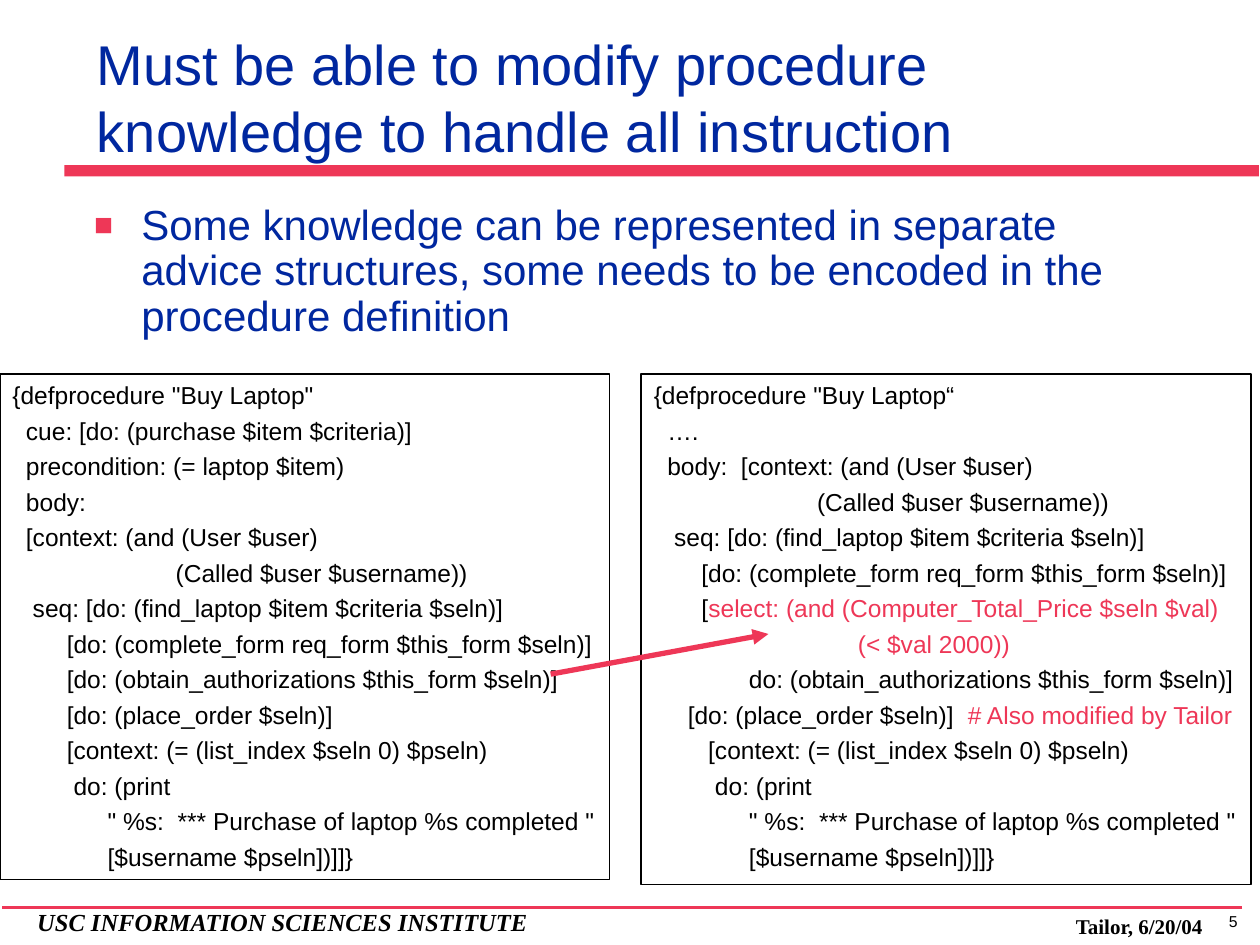
from lxml import etree
from pptx import Presentation
from pptx.dml.color import RGBColor
from pptx.enum.shapes import MSO_CONNECTOR as CONN, MSO_SHAPE as SHAPE
from pptx.enum.text import MSO_ANCHOR as ANCHOR, MSO_AUTO_SIZE as AUTO, PP_ALIGN as ALIGN
from pptx.oxml.ns import qn
from pptx.util import Cm, Pt

COLORS = {"red": "EE3757", "blue": "00279F", "black": "000000"}


def add_run(p, text, size, color="black", font="Arial", bold=False, italic=False):
    r = p.add_run()
    r.text = text
    r.font.name, r.font.size = font, Pt(size)
    r.font.bold, r.font.italic = bold, italic
    r.font.color.rgb = RGBColor.from_string(COLORS[color])


def add_line(x1, y1, x2, y2, width):
    c = s.shapes.add_connector(CONN.STRAIGHT, Cm(x1), Cm(y1), Cm(x2), Cm(y2))
    c.line.color.rgb = RGBColor.from_string(COLORS["red"])
    c.line.width = Pt(width)
    sp_pr = c.line._get_or_add_ln().getparent()
    etree.SubElement(sp_pr, qn("a:effectLst"))
    return c


prs = Presentation()
prs.slide_width, prs.slide_height = Cm(25.4), Cm(19.05)
s = prs.slides.add_slide(prs.slide_layouts[5])

# Title
sp = s.shapes.title
sp.left, sp.top, sp.width, sp.height = Cm(1.7), Cm(0.23), Cm(21.54), Cm(3.2)
tf = sp.text_frame
tf.auto_size, tf.word_wrap, tf.vertical_anchor = AUTO.NONE, True, ANCHOR.BOTTOM
p = tf.paragraphs[0]
p.alignment = ALIGN.LEFT
add_run(p, "Must be able to modify procedure knowledge to handle all instruction", 32, "blue")

# Bar under the title
sp = s.shapes.add_shape(SHAPE.RECTANGLE, Cm(1.3), Cm(3.33), Cm(24.08), Cm(0.23))
sp.shadow.inherit = False
sp.fill.solid()
sp.fill.fore_color.rgb = RGBColor.from_string(COLORS["red"])
sp.line.fill.background()

# Footer rule and texts: left, top, width, height, wrap, alignment, text, format
add_line(25.04, 18.29, 0.05, 18.29, 2)
serif = {"font": "Times New Roman", "bold": True}
footers = [
    (0.5, 18.16, 11.07, 0.84, True, ALIGN.LEFT, "USC INFORMATION SCIENCES INSTITUTE",
     {"size": 14, "italic": True, **serif}),
    (21.44, 18.29, 3.73, 0.76, True, ALIGN.LEFT, "Tailor, 6/20/04", {"size": 12, **serif}),
    (23.88, 18.26, 1.96, 0.64, False, ALIGN.CENTER, "5", {"size": 9}),
]
for x, y, w, h, wrap, align, text, style in footers:
    tf = s.shapes.add_textbox(Cm(x), Cm(y), Cm(w), Cm(h)).text_frame
    tf.word_wrap = wrap
    p = tf.paragraphs[0]
    p.alignment = align
    add_run(p, text, **style)

# Bulleted statement
tf = s.shapes.add_textbox(Cm(1.65), Cm(3.99), Cm(21.54), Cm(3.02)).text_frame
tf.word_wrap = True
p = tf.paragraphs[0]
p.line_spacing = 0.9
pPr = p._p.get_or_add_pPr()
pPr.set("marL", str(Cm(0.95)))
pPr.set("indent", str(-Cm(0.95)))
color = etree.SubElement(pPr, qn("a:buClr"))
etree.SubElement(color, qn("a:srgbClr"), val=COLORS["red"])
etree.SubElement(pPr, qn("a:buSzPct"), val="75000")
etree.SubElement(pPr, qn("a:buFont"), typeface="Arial")
etree.SubElement(pPr, qn("a:buChar"), char="■")
add_run(p, "Some knowledge can be represented in separate advice structures, "
           "some needs to be encoded in the procedure definition", 24, "blue")

# Procedure listings; text after "|" is red
shared_middle = [
    "                        (Called $user $username))",
    "   seq: [do: (find_laptop $item $criteria $seln)]",
]
shared_end = [
    "        [context: (= (list_index $seln 0) $pseln)",
    "         do: (print",
    '              " %s:  *** Purchase of laptop %s completed "',
    "              [$username $pseln])]]}",
]
before = [
    '{defprocedure "Buy Laptop"',
    "  cue: [do: (purchase $item $criteria)]",
    "  precondition: (= laptop $item)",
    "  body:",
    "  [context: (and (User $user)",
    *shared_middle,
    "        [do: (complete_form req_form $this_form $seln)]",
    "        [do: (obtain_authorizations $this_form $seln)]",
    "        [do: (place_order $seln)]",
    *shared_end,
]
after = [
    '{defprocedure "Buy Laptop“',
    "  ….",
    "  body:  [context: (and (User $user)",
    *shared_middle,
    "       [do: (complete_form req_form $this_form $seln)]",
    "       [|select: (and (Computer_Total_Price $seln $val)",
    "|                              (< $val 2000))",
    "              do: (obtain_authorizations $this_form $seln)]",
    "     [do: (place_order $seln)]  |# Also modified by Tailor",
    *shared_end,
]
for x, h, lines in [(0, 10.19, before), (12.93, 10.29, after)]:
    sp = s.shapes.add_shape(SHAPE.RECTANGLE, Cm(x), Cm(7.54), Cm(12.29), Cm(h))
    sp.shadow.inherit = False
    sp.fill.background()
    sp.line.color.rgb = RGBColor.from_string(COLORS["black"])
    sp.line.width = Pt(1)
    tf = sp.text_frame
    tf.word_wrap, tf.vertical_anchor = True, ANCHOR.TOP
    for i, line in enumerate(lines):
        p = tf.paragraphs[0] if i == 0 else tf.add_paragraph()
        p.alignment = ALIGN.LEFT
        p.space_before = Pt(3.5 if i else 0)
        pPr = p._p.get_or_add_pPr()
        pPr.set("marL", str(Cm(0.95)))
        pPr.set("indent", str(-Cm(0.95)))
        black, _, red = line.partition("|")
        for text, name in [(black, "black"), (red, "red")]:
            if text:
                add_run(p, text, 14, name)

# Arrow from the old step to the modified one
arrow = add_line(11.1, 13.59, 15.49, 12.78, 3)
etree.SubElement(arrow.line._get_or_add_ln(), qn("a:tailEnd"), type="triangle")

prs.save("out.pptx")
